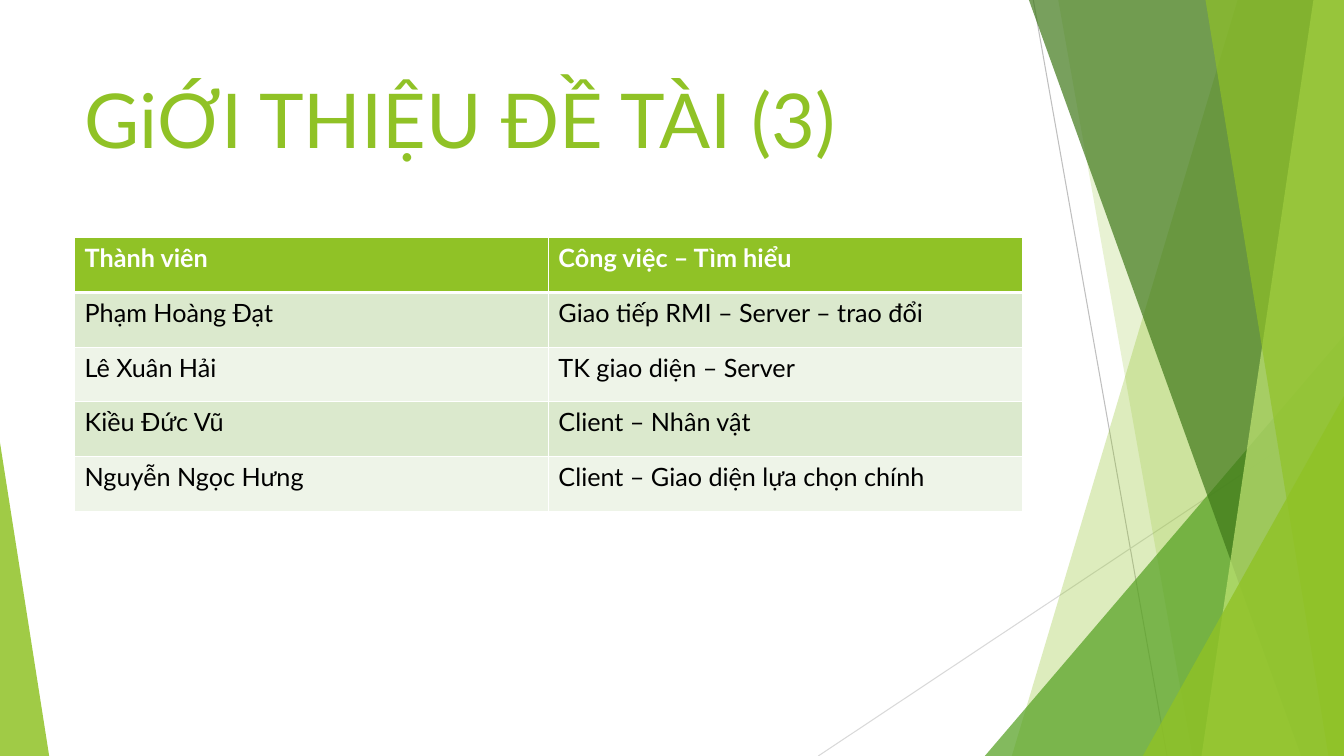
from lxml.etree import SubElement
from pptx import Presentation
from pptx.dml.color import RGBColor
from pptx.enum.shapes import MSO_CONNECTOR, MSO_SHAPE
from pptx.enum.text import MSO_ANCHOR, MSO_AUTO_SIZE, PP_ALIGN
from pptx.oxml.ns import qn
from pptx.util import Cm, Pt

FONT = "Lato"
LIME = RGBColor(0x90, 0xC2, 0x26)
PALE_LIME = RGBColor(0xC0, 0xE4, 0x74)
GREEN = RGBColor(0x54, 0xA0, 0x21)
DARK_GREEN = RGBColor(0x3F, 0x78, 0x19)
BAND_DARK = RGBColor(0xDB, 0xE9, 0xCD)
BAND_LIGHT = RGBColor(0xEE, 0xF4, 0xE8)
GREY = RGBColor(0xBF, 0xBF, 0xBF)
LIGHT_GREY = RGBColor(0xD9, 0xD9, 0xD9)
WHITE = RGBColor(0xFF, 0xFF, 0xFF)
BLACK = RGBColor(0, 0, 0)

SLIDE_W, SLIDE_H = 33.87, 19.05
LEFT, WIDTH = 1.88, 23.88
ROW_H = 1.38

ROWS = [
    ("Thành viên", "Công việc – Tìm hiểu"),
    ("Phạm Hoàng Đạt", "Giao tiếp RMI – Server – trao đổi"),
    ("Lê Xuân Hải", "TK giao diện – Server"),
    ("Kiều Đức Vũ", "Client – Nhân vật"),
    ("Nguyễn Ngọc Hưng", "Client – Giao diện lựa chọn chính"),
]


def add_run(p, text, size, color, bold=False):
    r = p.add_run()
    r.text = text
    r.font.name = FONT
    r.font.size = Pt(size)
    r.font.bold = bold
    r.font.color.rgb = color


def paint(sp, color, opacity):
    sp.shadow.inherit = False
    sp.line.fill.background()
    sp.fill.solid()
    sp.fill.fore_color.rgb = color
    clr = sp._element.spPr.find(qn("a:solidFill")).find(qn("a:srgbClr"))
    SubElement(clr, qn("a:alpha")).set("val", str(opacity * 1000))


def add_line(s, x1, y1, x2, y2, color):
    line = s.shapes.add_connector(MSO_CONNECTOR.STRAIGHT, Cm(x1), Cm(y1), Cm(x2), Cm(y2))
    line.line.color.rgb = color
    line.line.width = Pt(0.75)
    SubElement(line._element.spPr, qn("a:effectLst"))


def add_band(s, top_x, bottom_x, color, opacity):
    """Full-height band from a slanted edge to the right side of the slide."""
    fb = s.shapes.build_freeform(Cm(top_x), 0)
    corners = [(SLIDE_W, 0), (SLIDE_W, SLIDE_H), (bottom_x, SLIDE_H)]
    fb.add_line_segments([(Cm(x), Cm(y)) for x, y in corners], close=True)
    paint(fb.convert_to_shape(), color, opacity)


def add_triangle(s, x, y, width, apex, color, opacity):
    """Triangle standing on the bottom edge of the slide."""
    sp = s.shapes.add_shape(MSO_SHAPE.ISOSCELES_TRIANGLE,
                            Cm(x), Cm(y), Cm(width), Cm(SLIDE_H - y))
    sp.adjustments[0] = apex
    paint(sp, color, opacity)


def add_title(s, text):
    sp = s.shapes.title
    sp.left, sp.top, sp.width, sp.height = Cm(LEFT), Cm(1.7), Cm(WIDTH), Cm(3.66)
    tf = sp.text_frame
    tf.word_wrap = True
    tf.auto_size = MSO_AUTO_SIZE.NONE
    tf.vertical_anchor = MSO_ANCHOR.TOP
    p = tf.paragraphs[0]
    p.alignment = PP_ALIGN.LEFT
    add_run(p, text, 54, LIME)


def set_borders(cell, top, bottom):
    tcPr = cell._tc.get_or_add_tcPr()
    for side, width in (("L", 1), ("R", 1), ("T", top), ("B", bottom)):
        ln = SubElement(tcPr, qn("a:ln" + side))
        ln.set("w", str(Pt(width)))
        fill = SubElement(ln, qn("a:solidFill"))
        SubElement(fill, qn("a:srgbClr")).set("val", str(WHITE))


def add_member_table(s):
    cols = len(ROWS[0])
    table = s.shapes.add_table(len(ROWS), cols, Cm(LEFT), Cm(5.99),
                               Cm(WIDTH), Cm(ROW_H * len(ROWS))).table
    for col in table.columns:
        col.width = Cm(WIDTH / cols)
    for i, texts in enumerate(ROWS):
        table.rows[i].height = Cm(ROW_H)
        header = i == 0
        fill = LIME if header else BAND_DARK if i % 2 else BAND_LIGHT
        for j, text in enumerate(texts):
            cell = table.cell(i, j)
            set_borders(cell, 3 if i == 1 else 1, 3 if header else 1)
            cell.fill.solid()
            cell.fill.fore_color.rgb = fill
            add_run(cell.text_frame.paragraphs[0], text, 18,
                    WHITE if header else BLACK, header)


def main():
    prs = Presentation()
    prs.slide_width, prs.slide_height = Cm(SLIDE_W), Cm(SLIDE_H)
    s = prs.slides.add_slide(prs.slide_layouts[5])

    # Facet decoration, back to front
    add_line(s, 26.04, 0, 29.41, SLIDE_H, GREY)
    add_line(s, SLIDE_W, 10.24, 20.62, SLIDE_H, LIGHT_GREY)
    add_band(s, 31.19, 25.5, LIME, 30)
    add_band(s, 26.67, 30.05, LIME, 20)
    add_triangle(s, 24.82, 8.46, 9.05, 1, GREEN, 72)
    add_band(s, 25.93, 32.79, DARK_GREEN, 70)
    add_band(s, 33.1, 30.28, PALE_LIME, 70)
    add_band(s, 30.38, 33.48, LIME, 65)
    add_triangle(s, 28.8, 9.98, 5.07, 1, LIME, 80)
    add_triangle(s, 0, 11.15, 1.24, 0, LIME, 85)

    # Title and table of members
    add_title(s, "GiỚI THIỆU ĐỀ TÀI (3)")
    add_member_table(s)

    prs.save("out.pptx")


if __name__ == "__main__":
    main()
